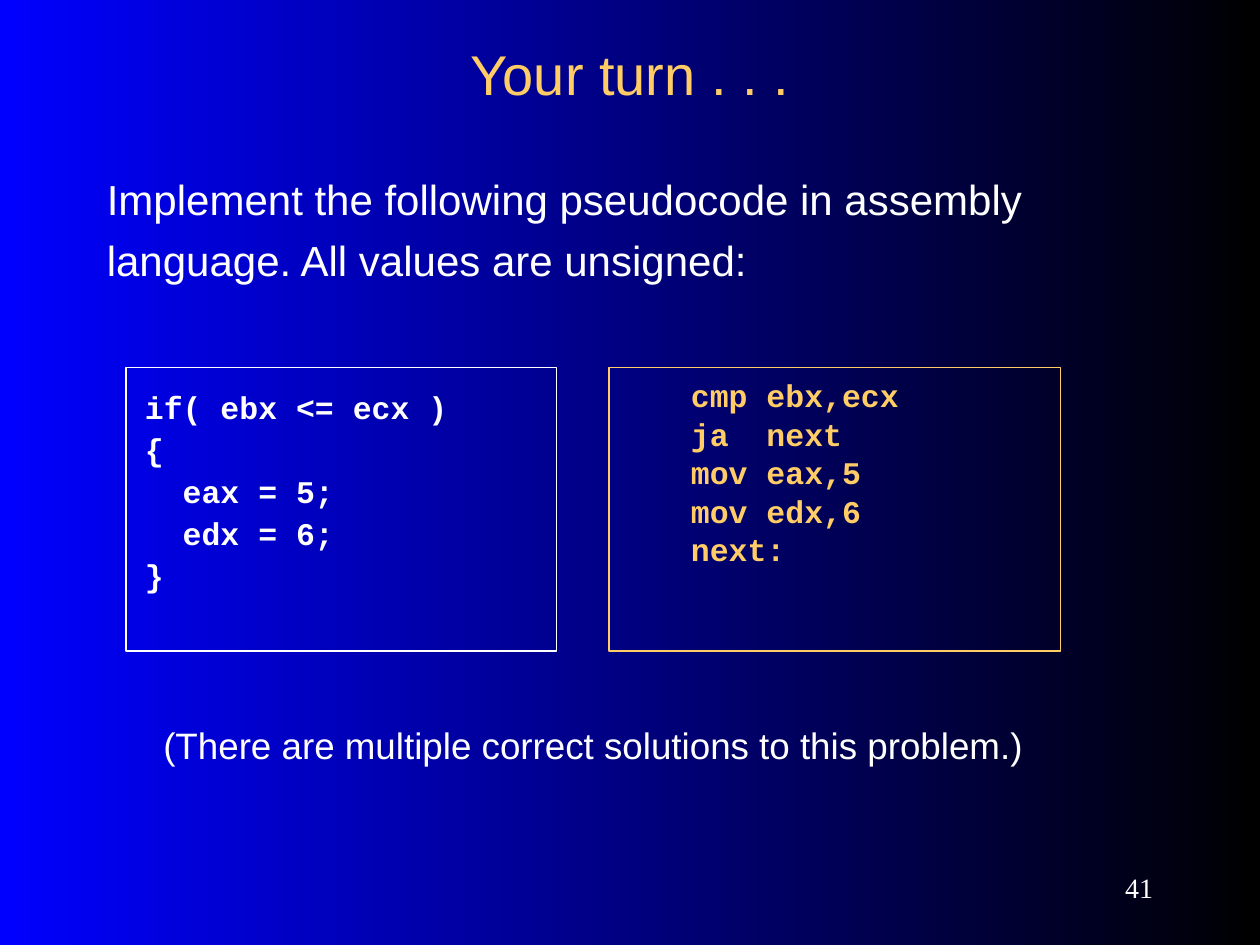
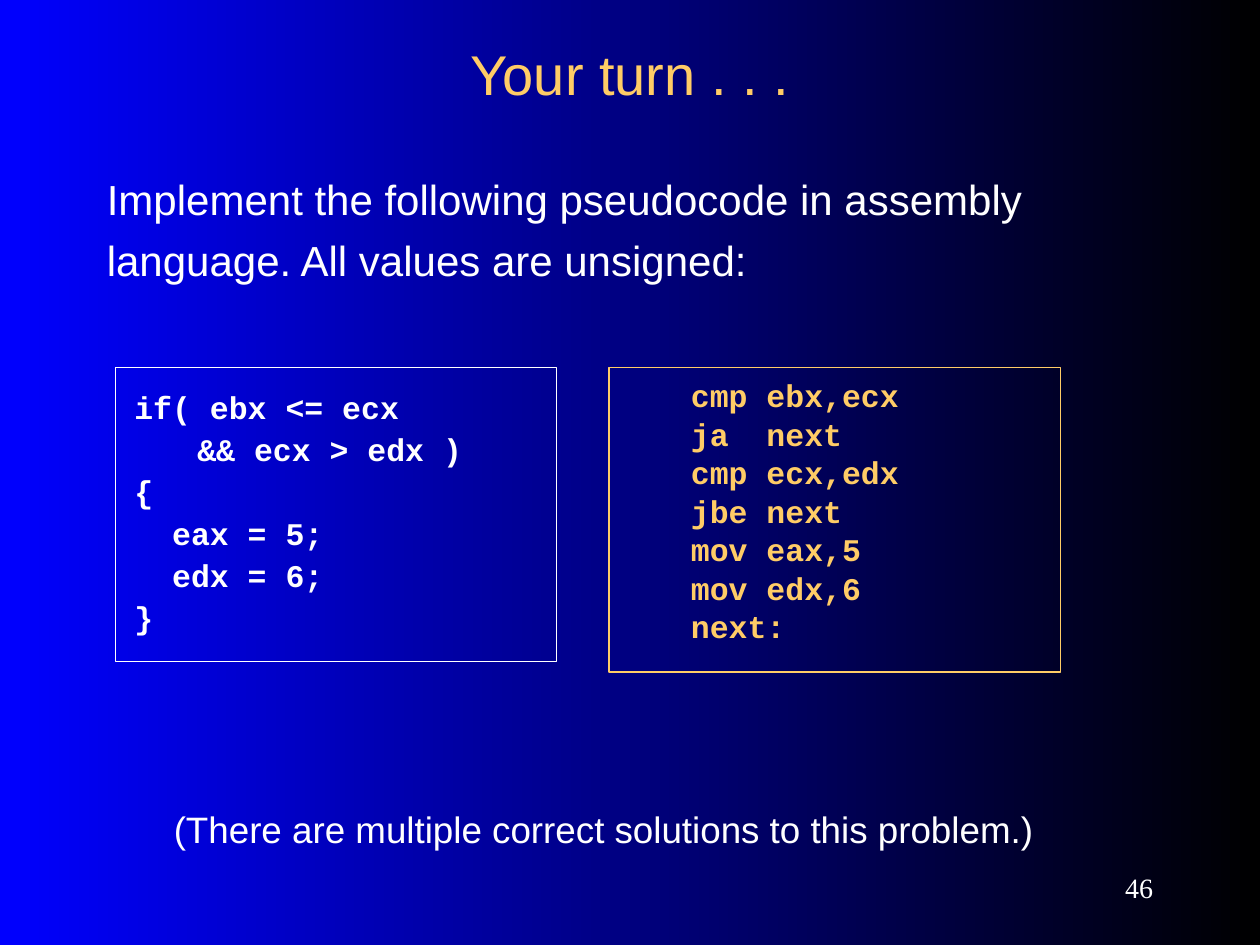
from lxml import etree
from pptx import Presentation
from pptx.dml.color import RGBColor
from pptx.enum.shapes import MSO_SHAPE
from pptx.enum.text import MSO_ANCHOR, PP_ALIGN
from pptx.oxml.ns import qn
from pptx.util import Inches, Pt

RECTANGLE = MSO_SHAPE.RECTANGLE
TOP, MIDDLE = MSO_ANCHOR.TOP, MSO_ANCHOR.MIDDLE
LEFT, CENTER, RIGHT = PP_ALIGN.LEFT, PP_ALIGN.CENTER, PP_ALIGN.RIGHT

BLACK = RGBColor(0x00, 0x00, 0x00)
BLUE = RGBColor(0x00, 0x00, 0xFF)
WHITE = RGBColor(0xFF, 0xFF, 0xFF)
GOLD = RGBColor(0xFF, 0xCC, 0x66)

COLUMNS, ROWS = 120, 90
deck = Presentation()
deck.slide_width = Inches(10)
deck.slide_height = Inches(7.5)
COLUMN = deck.slide_width // COLUMNS
ROW = deck.slide_height // ROWS

CODE_TOP = 35
PSEUDOCODE_RIGHT = 53
CODE_INDENT = Inches(0.5)


def add_text(page, text, left, top, width, height, *, size, font="Arial",
             color=WHITE, bold=False, align=LEFT, anchor=TOP, border=None,
             margins=(0.1, 0.05), line_spacing=1.0, space_before=0, indent=0):
    place = (left * COLUMN, top * ROW, width * COLUMN, int(height * ROW))
    if border is None:
        box = page.shapes.add_textbox(*place)
    else:
        box = page.shapes.add_shape(RECTANGLE, *place)
        box.shadow.inherit = False
        box.fill.background()
        box.line.color.rgb = border
        box.line.width = Pt(0.75)
    frame = box.text_frame
    frame.word_wrap = True
    frame.vertical_anchor = anchor
    frame.margin_left = frame.margin_right = Inches(margins[0])
    frame.margin_top = frame.margin_bottom = Inches(margins[1])
    for number, line in enumerate(text.split("\n")):
        para = frame.add_paragraph() if number else frame.paragraphs[0]
        properties = para._p.get_or_add_pPr()
        if indent:
            properties.set("marL", str(indent))
            properties.set("indent", "0")
        if "\t" in line:
            tabs = etree.SubElement(properties, qn("a:tabLst"))
            etree.SubElement(tabs, qn("a:tab"), pos=str(CODE_INDENT), algn="l")
        para.alignment = align
        para.line_spacing = line_spacing
        para.space_before = Pt(space_before if number else 0)
        span = para.add_run()
        span.text = line
        span.font.name = font
        span.font.size = Pt(size)
        span.font.bold = bold
        span.font.color.rgb = color


CODE_STYLE = dict(size=18, font="Courier New", bold=True, margins=(0.15, 0.2))

exercises = [
    dict(
        number="41",
        pseudocode="if( ebx <= ecx )\n{\n  eax = 5;\n  edx = 6;\n}",
        pseudocode_left=12, pseudocode_height=27,
        assembly="cmp ebx,ecx\nja  next\nmov eax,5\nmov edx,6\nnext:",
        assembly_height=27,
        note_left=9, note_top=67,
    ),
    dict(
        number="46",
        pseudocode="if( ebx <= ecx\n\t&& ecx > edx )\n{\n  eax = 5;\n  edx = 6;\n}",
        pseudocode_left=11, pseudocode_height=28,
        assembly="cmp ebx,ecx\nja  next\ncmp ecx,edx\njbe next\n"
                 "mov eax,5\nmov edx,6\nnext:",
        assembly_height=29,
        note_left=10, note_top=75,
    ),
]

for exercise in exercises:
    page = deck.slides.add_slide(deck.slide_layouts[6])
    backdrop = page.background.fill
    backdrop.gradient()
    backdrop.gradient_angle = 180
    for stop, color, position in zip(backdrop.gradient_stops, (BLACK, BLUE), (0, 1)):
        stop.color.rgb = color
        stop.position = position

    add_text(page, "Your turn . . .", 9, 3, 102, 8,
             size=32, color=GOLD, align=CENTER, anchor=MIDDLE)
    add_text(page, "Implement the following pseudocode in assembly language. "
                   "All values are unsigned:",
             9, 15, 102, 16, size=24, line_spacing=1.2)
    add_text(page, exercise["assembly"], 58, CODE_TOP, 43,
             exercise["assembly_height"], color=GOLD, border=GOLD,
             line_spacing=0.5, space_before=11.2, indent=CODE_INDENT, **CODE_STYLE)
    left = exercise["pseudocode_left"]
    add_text(page, exercise["pseudocode"], left, CODE_TOP, PSEUDOCODE_RIGHT - left,
             exercise["pseudocode_height"], border=WHITE,
             line_spacing=0.9, space_before=4.5, **CODE_STYLE)
    add_text(page, "(There are multiple correct solutions to this problem.)",
             exercise["note_left"], exercise["note_top"], 95, 7.8,
             size=21, align=CENTER, margins=(0.1, 0.15))
    add_text(page, exercise["number"], 98, 82, 13, 5, size=16,
             font="Times New Roman", align=RIGHT, anchor=MIDDLE)

deck.save("out.pptx")
